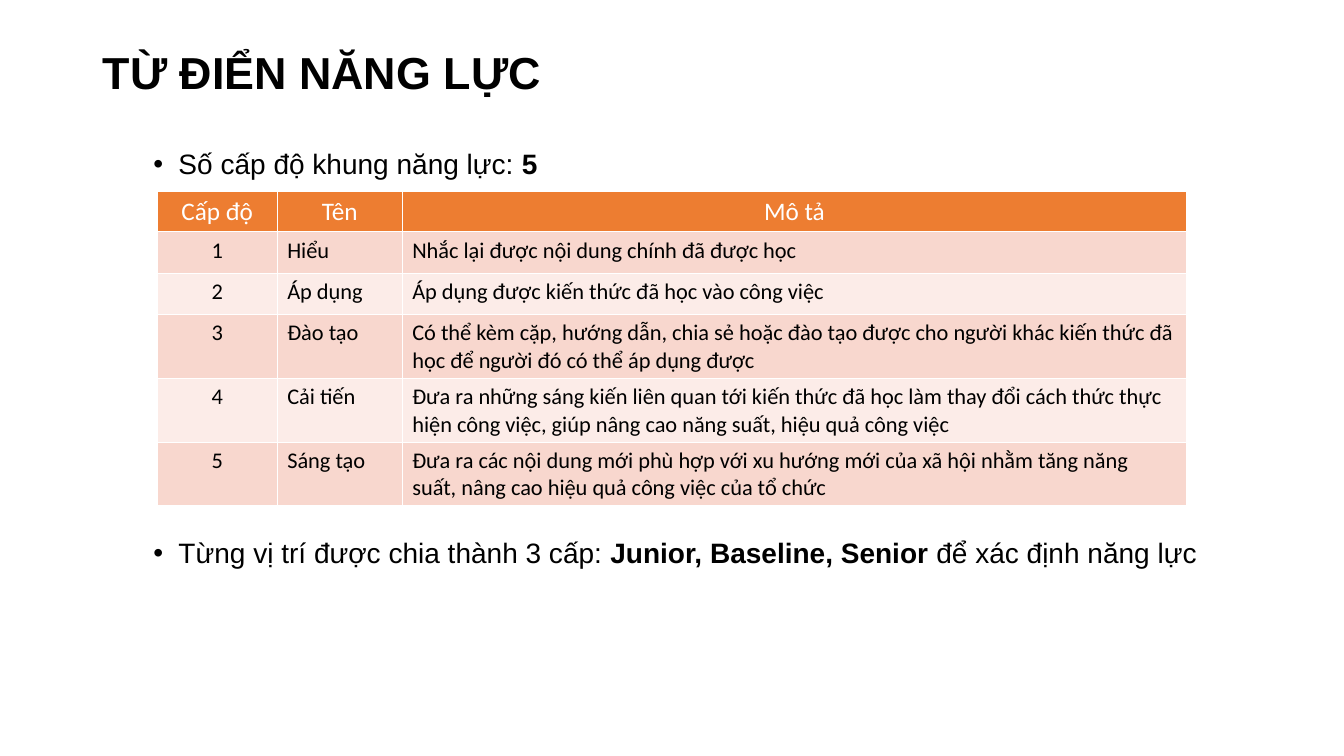
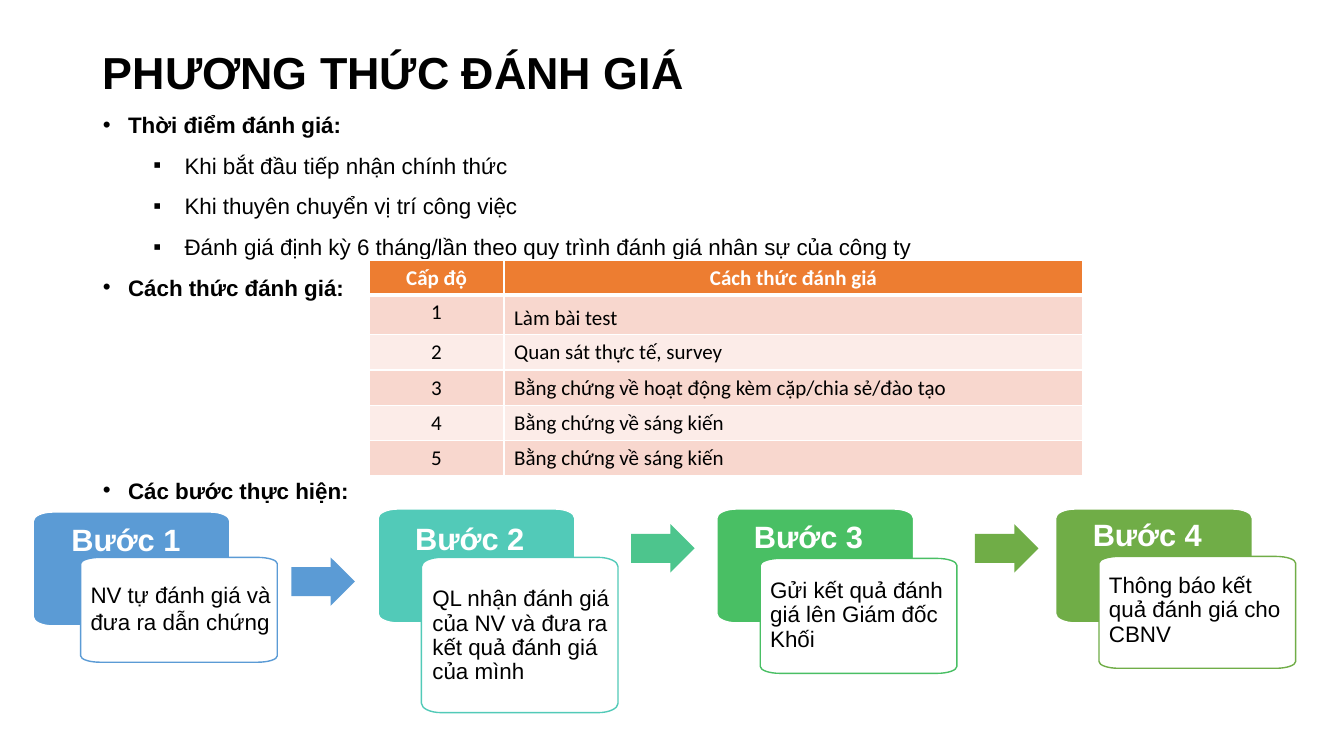
import pptx
import pptx.dml.color
import pptx.enum.shapes
import pptx.enum.text
import pptx.oxml
import pptx.oxml.ns
import pptx.util
from pptx.util import Inches

RGB = pptx.dml.color.RGBColor
ALIGN = pptx.enum.text.PP_ALIGN
ANCHOR = pptx.enum.text.MSO_ANCHOR
SHAPE = pptx.enum.shapes.MSO_SHAPE

BLACK = RGB(0x00, 0x00, 0x00)
WHITE = RGB(0xFF, 0xFF, 0xFF)
ORANGE = RGB(0xED, 0x7D, 0x31)
BANDS = (RGB(0xF8, 0xD7, 0xCE), RGB(0xFC, 0xEC, 0xE8))
BLUE = RGB(0x5B, 0x9B, 0xD5)
TEAL = RGB(0x52, 0xCA, 0xB8)
MINT = RGB(0x4D, 0xC5, 0x8D)
GREEN = RGB(0x49, 0xBF, 0x64)
OLIVE = RGB(0x70, 0xAD, 0x47)

# Bullets: style, space before in points, runs of (text, bold)
BULLET_STYLES = {
    "framework": dict(char="•", margin=0.75, hang=0.25, level=1),
    "topic": dict(char="•", margin=0.25, hang=0.25, level=0),
    "occasion": dict(char="▪", margin=0.81, hang=0.31, level=1),
}
FRAMEWORK_POINTS = [
    ("framework", 0, [("Số cấp độ khung năng lực: ", False), ("5", True)]),
    ("framework", 246, [("Từng vị trí được chia thành 3 cấp: ", False),
                        ("Junior, Baseline, Senior ", True),
                        ("để xác định năng lực", False)]),
]
ASSESSMENT_POINTS = [
    ("topic", 0, [("Thời điểm đánh giá: ", True)]),
    ("occasion", 3, [("Khi bắt đầu tiếp nhận chính thức", False)]),
    ("occasion", 3, [("Khi thuyên chuyển vị trí công việc ", False)]),
    ("occasion", 3, [("Đánh giá định kỳ 6 tháng/lần theo quy trình đánh giá "
                      "nhân sự của công ty", False)]),
    ("topic", 3, [("Cách thức đánh giá:", True)]),
    ("topic", 119, [("Các bước thực hiện:", True)]),
]

LEVELS = [
    ("Cấp độ", "Tên", "Mô tả"),
    ("1", "Hiểu", "Nhắc lại được nội dung chính đã được học"),
    ("2", "Áp dụng", "Áp dụng được kiến thức đã học vào công việc"),
    ("3", "Đào tạo", "Có thể kèm cặp, hướng dẫn, chia sẻ hoặc đào tạo được cho người "
     "khác kiến thức đã học để người đó có thể áp dụng được"),
    ("4", "Cải tiến", "Đưa ra những sáng kiến liên quan tới kiến thức đã học làm thay đổi "
     "cách thức thực hiện công việc, giúp nâng cao năng suất, hiệu quả công việc"),
    ("5", "Sáng tạo", "Đưa ra các nội dung mới phù hợp với xu hướng mới của xã hội nhằm "
     "tăng năng suất, nâng cao hiệu quả công việc của tổ chức"),
]
METHODS = [
    ("Cấp độ", "Cách thức đánh giá"),
    ("1", "Làm bài test"),
    ("2", "Quan sát thực tế, survey"),
    ("3", "Bằng chứng về hoạt động kèm cặp/chia sẻ/đào tạo"),
    ("4", "Bằng chứng về sáng kiến"),
    ("5", "Bằng chứng về sáng kiến"),
]

STEP_WIDTH, HEADER_HEIGHT = 1.95, 1.13
LABEL_SIZE = (1.33, 0.43)
ARROW_SIZE = (0.63, 0.48)
STEPS = [
    dict(label="Bước 1", task="NV tự đánh giá và đưa ra dẫn chứng", color=BLUE,
         header_corner=(0.33, 5.08), label_corner=(0.61, 5.16),
         card_corner=(0.8, 5.53), card_height=1.04,
         task_box=(0.8, 5.72, 2.04, 0.64), spacing=1.0),
    dict(label="Bước 2", task="QL nhận đánh giá của NV và đưa ra kết quả đánh giá của mình",
         color=TEAL, header_corner=(3.75, 5.05), label_corner=(4.02, 5.15),
         card_corner=(4.18, 5.53), card_height=1.54,
         task_box=(4.19, 5.78, 1.97, 1.07), spacing=0.9),
    dict(label="Bước 3", task="Gửi kết quả đánh giá lên Giám đốc Khối", color=GREEN,
         header_corner=(7.11, 5.05), label_corner=(7.38, 5.13),
         card_corner=(7.54, 5.54), card_height=1.14,
         task_box=(7.54, 5.7, 2.01, 0.83), spacing=0.9),
    dict(label="Bước 4", task="Thông báo kết quả đánh giá cho CBNV", color=OLIVE,
         header_corner=(10.47, 5.05), label_corner=(10.74, 5.11),
         card_corner=(10.9, 5.52), card_height=1.11,
         task_box=(10.9, 5.65, 2.01, 0.83), spacing=0.9),
]
ARROWS = [(2.89, 5.53, BLUE), (6.26, 5.2, MINT), (9.67, 5.2, OLIVE)]


def add_xml(parent, markup):
    parent.append(pptx.oxml.parse_xml(
        markup.replace(">", f" {pptx.oxml.ns.nsdecls('a')}>", 1)))


def write(paragraph, runs, *, size, font="Arial", color=BLACK, bold=False,
          align=ALIGN.LEFT, spacing=1.0, before=0, after=0, bullet=None):
    """Fill a paragraph with a string or with (text, bold) runs."""
    if bullet:
        paragraph.level = bullet["level"]
        properties = paragraph._p.get_or_add_pPr()
        properties.set("marL", str(Inches(bullet["margin"])))
        properties.set("indent", str(-Inches(bullet["hang"])))
        add_xml(properties, f'<a:buClr><a:srgbClr val="{BLACK}"/></a:buClr>')
        add_xml(properties, '<a:buFont typeface="Arial"></a:buFont>')
        add_xml(properties, f'<a:buChar char="{bullet["char"]}"></a:buChar>')
    paragraph.alignment = align
    paragraph.line_spacing = spacing
    paragraph.space_before = pptx.util.Pt(before)
    paragraph.space_after = pptx.util.Pt(after)
    for text, strong in [(runs, bold)] if isinstance(runs, str) else runs:
        run = paragraph.add_run()
        run.text = text
        run.font.name = font
        run.font.size = pptx.util.Pt(size)
        run.font.bold = strong
        run.font.color.rgb = color


def set_frame(frame, anchor):
    frame.word_wrap = True
    frame.auto_size = pptx.enum.text.MSO_AUTO_SIZE.NONE
    frame.vertical_anchor = anchor
    frame.margin_left = frame.margin_right = Inches(0.1)
    frame.margin_top = frame.margin_bottom = Inches(0.05)


def place(shape, box):
    shape.left, shape.top, shape.width, shape.height = map(Inches, box)


def add_content_slide(deck, title, points, body_box, size, title_width):
    slide = deck.slides.add_slide(deck.slide_layouts[1])
    heading, body = slide.shapes.title, slide.placeholders[1]
    place(heading, (0.92, 0.4, title_width, 0.68))
    set_frame(heading.text_frame, ANCHOR.MIDDLE)
    write(heading.text_frame.paragraphs[0], title, size=32, bold=True, spacing=0.9)

    place(body, body_box)
    set_frame(body.text_frame, ANCHOR.TOP)
    for index, (style, before, runs) in enumerate(points):
        paragraph = (body.text_frame.add_paragraph() if index
                     else body.text_frame.paragraphs[0])
        write(paragraph, runs, size=size, align=ALIGN.JUSTIFY, spacing=1.2,
              before=before, after=3, bullet=BULLET_STYLES[style])
    return slide


def set_borders(cell, top=1, bottom=1):
    for side, points in (("L", 1), ("R", 1), ("T", top), ("B", bottom)):
        add_xml(cell._tc.get_or_add_tcPr(),
                f'<a:ln{side} w="{pptx.util.Pt(points)}"><a:solidFill>'
                f'<a:srgbClr val="{WHITE}"/></a:solidFill></a:ln{side}>')


def add_level_table(slide, rows, corner, widths, heights, *, header_size, size,
                    header_bold=False, header_rule=1, first_spacing=1.0):
    box = (*corner, sum(widths), sum(heights))
    table = slide.shapes.add_table(len(rows), len(widths), *map(Inches, box)).table
    table.horz_banding = False
    for column, width in zip(table.columns, widths):
        column.width = Inches(width)
    for r, (values, height) in enumerate(zip(rows, heights)):
        table.rows[r].height = Inches(height)
        for c, value in enumerate(values):
            cell = table.cell(r, c)
            header = r == 0
            set_borders(cell, top=header_rule if r == 1 else 1,
                        bottom=header_rule if header else 1)
            cell.margin_bottom = Inches(0.04)
            cell.fill.solid()
            cell.fill.fore_color.rgb = ORANGE if header else BANDS[(r - 1) % 2]
            write(cell.text_frame.paragraphs[0], value, font="Calibri",
                  size=header_size if header else size,
                  color=WHITE if header else BLACK, bold=header and header_bold,
                  align=ALIGN.CENTER if header or c == 0 else ALIGN.LEFT,
                  spacing=first_spacing if r == 1 and c else 1.0)


def paint(shape, fill, line=None):
    shape.shadow.inherit = False
    shape.fill.solid()
    shape.fill.fore_color.rgb = fill
    if line is None:
        shape.line.fill.background()
    else:
        shape.line.color.rgb = line
        shape.line.width = pptx.util.Pt(1)


def add_soft_box(slide, corner, height, corner_ratio):
    """Outline a box whose corners are curves, wider than tall."""
    left, top = corner
    right, bottom = left + STEP_WIDTH, top + height
    rx, ry = 0.1 * STEP_WIDTH, corner_ratio * height
    outline = []
    for x, y, dx, dy, upright in [(left, top, rx, ry, True), (right, top, -rx, ry, False),
                                  (right, bottom, -rx, -ry, True),
                                  (left, bottom, rx, -ry, False)]:
        curve = [(x, y + dy), (x, y + 0.45 * dy), (x + 0.45 * dx, y), (x + dx, y)]
        outline += curve if upright else curve[::-1]
    points = [(Inches(x), Inches(y)) for x, y in outline]
    builder = slide.shapes.build_freeform(*points[0])
    builder.add_line_segments(points[1:], close=True)
    box = builder.convert_to_shape()

    lines = list(box._element.iter(pptx.oxml.ns.qn("a:lnTo")))
    for first in range(0, 16, 4):
        bend = lines[first:first + 3]
        curve = bend[0].makeelement(pptx.oxml.ns.qn("a:cubicBezTo"))
        bend[0].addprevious(curve)
        for line in bend:
            curve.append(line[0])
            line.getparent().remove(line)
    return box


def add_text(slide, box, text, **style):
    frame = slide.shapes.add_textbox(*map(Inches, box)).text_frame
    set_frame(frame, ANCHOR.TOP)
    write(frame.paragraphs[0], text, **style)


def add_step(slide, step):
    header = add_soft_box(slide, step["header_corner"], HEADER_HEIGHT, 0.08)
    paint(header, step["color"], WHITE)
    card = add_soft_box(slide, step["card_corner"], step["card_height"], 0.06)
    paint(card, WHITE, step["color"])
    add_text(slide, (*step["label_corner"], *LABEL_SIZE), step["label"],
             size=22, color=WHITE, bold=True, spacing=0.9)
    add_text(slide, step["task_box"], step["task"], size=16, spacing=step["spacing"])


def add_step_arrow(slide, left, top, color):
    arrow = slide.shapes.add_shape(SHAPE.RIGHT_ARROW,
                                   *map(Inches, (left, top, *ARROW_SIZE)))
    arrow.adjustments[0], arrow.adjustments[1] = 0.6, 0.5
    paint(arrow, color)


def main():
    deck = pptx.Presentation()
    deck.slide_width, deck.slide_height = Inches(13.33), Inches(7.5)

    dictionary = add_content_slide(deck, "TỪ ĐIỂN NĂNG LỰC", FRAMEWORK_POINTS,
                                   (0.92, 1.34, 11.33, 4.64), 20, 11.5)
    add_level_table(dictionary, LEVELS, (1.56, 1.9), (1.19, 1.24, 7.78),
                    [0.4, 0.41, 0.41] + [0.63] * 3, header_size=18, size=16)

    assessment = add_content_slide(deck, "PHƯƠNG THỨC ĐÁNH GIÁ", ASSESSMENT_POINTS,
                                   (0.92, 1, 10.85, 1.17), 16, 12.25)
    add_level_table(assessment, METHODS, (3.66, 2.58), (1.34, 5.74),
                    [0.34, 0.39] + [0.35] * 4, header_size=15, size=15,
                    header_bold=True, header_rule=3, first_spacing=1.2)
    for step in STEPS:
        add_step(assessment, step)
    for arrow in ARROWS:
        add_step_arrow(assessment, *arrow)

    deck.save("out.pptx")


if __name__ == "__main__":
    main()
